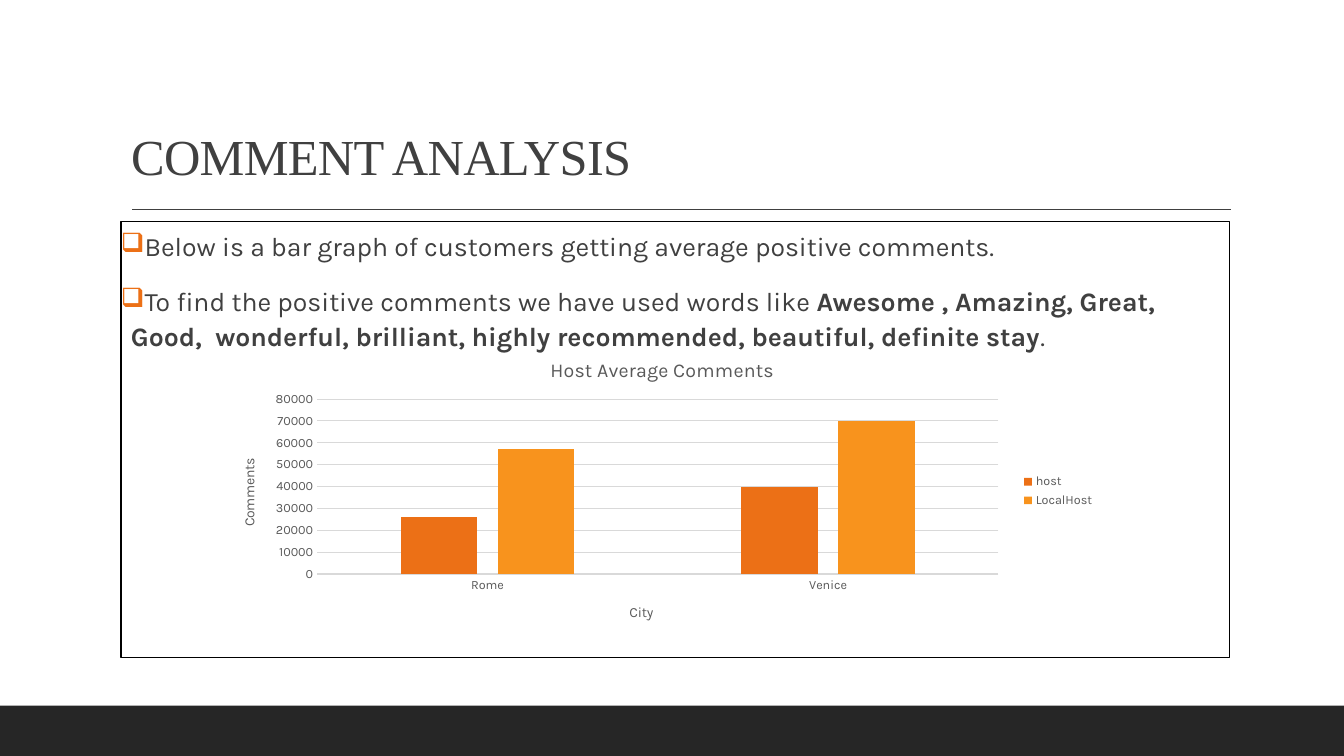
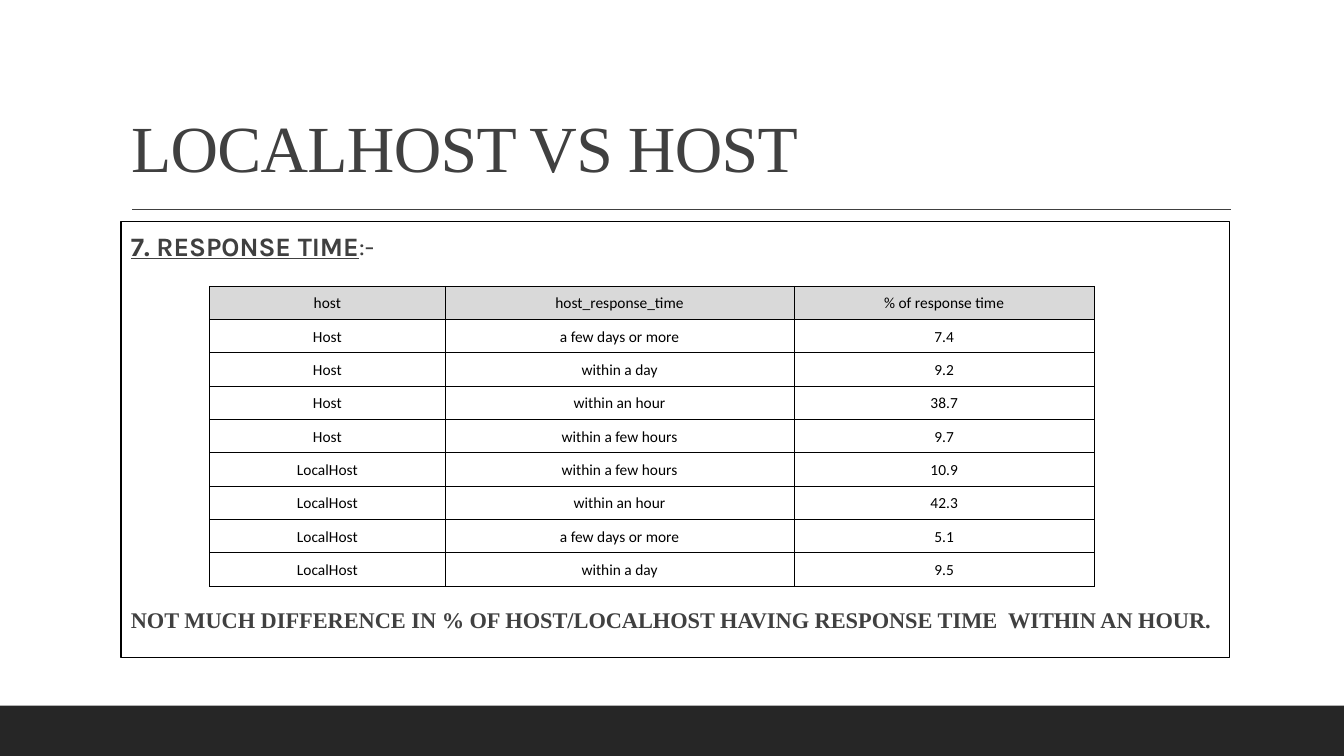
from dataclasses import dataclass

from lxml import etree
from pptx import Presentation
from pptx.chart.data import CategoryChartData
from pptx.dml.color import RGBColor
from pptx.enum.chart import XL_CHART_TYPE, XL_LEGEND_POSITION, XL_TICK_MARK
from pptx.enum.shapes import MSO_CONNECTOR, MSO_SHAPE
from pptx.enum.text import MSO_ANCHOR, MSO_AUTO_SIZE, PP_ALIGN
from pptx.oxml.ns import qn
from pptx.util import Cm, Pt

COLUMNS = XL_CHART_TYPE.COLUMN_CLUSTERED
LEGEND_RIGHT = XL_LEGEND_POSITION.RIGHT
NO_TICKS = XL_TICK_MARK.NONE
STRAIGHT = MSO_CONNECTOR.STRAIGHT
RECTANGLE = MSO_SHAPE.RECTANGLE
TOP, MIDDLE, BOTTOM = MSO_ANCHOR.TOP, MSO_ANCHOR.MIDDLE, MSO_ANCHOR.BOTTOM
NO_FIT = MSO_AUTO_SIZE.NONE
LEFT, CENTER = PP_ALIGN.LEFT, PP_ALIGN.CENTER
TITLE_ONLY = 5


@dataclass(frozen=True)
class Theme:
    text: str = "404040"
    black: str = "000000"
    band: str = "262626"
    chart_text: str = "595959"
    grid: str = "D9D9D9"
    accent: str = "EC7016"
    accent_light: str = "F8931D"
    serif: str = "Times New Roman"
    sans: str = "Karla"
    table_font: str = "Calibri"
    title_size: float = 36
    title_large: float = 47
    body_size: float = 19
    note_size: float = 16
    table_size: float = 11
    chart_title: float = 14
    axis_title: float = 10
    chart_label: float = 9


THEME = Theme()
WIDTH, HEIGHT = Cm(33.87), Cm(19.05)
BAND_HEIGHT = Cm(1.27)
BOX_LEFT, BOX_WIDTH = Cm(3.05), Cm(27.94)

RESPONSE_TIMES = [
    ("host", "host_response_time", "% of response time"),
    ("Host", "a few days or more", "7.4"),
    ("Host", "within a day", "9.2"),
    ("Host", "within an hour", "38.7"),
    ("Host", "within a few hours", "9.7"),
    ("LocalHost", "within a few hours", "10.9"),
    ("LocalHost", "within an hour", "42.3"),
    ("LocalHost", "a few days or more", "5.1"),
    ("LocalHost", "within a day", "9.5"),
]


# Formatting helpers
def set_values(target, values):
    for name, value in values.items():
        setattr(target, name, value)


def set_font(font, name, size, color, **values):
    set_values(font, {"name": name, "size": Pt(size), **values})
    font.color.rgb = RGBColor.from_string(color)


def set_fill(fill, color):
    if color is None:
        fill.background()
    else:
        fill.solid()
        fill.fore_color.rgb = RGBColor.from_string(color)


def set_line(line, color, width):
    if color is None:
        line.fill.background()
    else:
        line.color.rgb = RGBColor.from_string(color)
        line.width = Pt(width)


def add_xml(parent, tag, **values):
    return etree.SubElement(parent, qn(tag), values)


# Shared slide parts
def add_rectangle(slide, left, top, width, height, fill=None, line=None):
    box = slide.shapes.add_shape(RECTANGLE, left, top, width, height)
    box.shadow.inherit = False
    set_fill(box.fill, fill)
    set_line(box.line, line, 0.75)
    return box


def add_rule(slide, left, right, top):
    rule = slide.shapes.add_connector(STRAIGHT, left, top, right, top)
    set_line(rule.line, THEME.text, 1)
    add_xml(rule._element.spPr, "a:effectLst")


def add_title(slide, text, size):
    title = slide.shapes.title
    set_values(title, {"left": BOX_LEFT, "top": Cm(0.79),
                       "width": BOX_WIDTH, "height": Cm(4.04)})
    frame = title.text_frame
    set_values(frame, {"text": text, "vertical_anchor": BOTTOM,
                       "word_wrap": True, "auto_size": NO_FIT})
    para = frame.paragraphs[0]
    set_values(para, {"alignment": LEFT, "line_spacing": 0.9})
    span = para.runs[0]
    set_font(span.font, THEME.serif, size, THEME.text)
    span._r.get_or_add_rPr().set("spc", "-50")


def add_page(deck, title, title_size):
    slide = deck.slides.add_slide(deck.slide_layouts[TITLE_ONLY])
    add_rectangle(slide, 0, HEIGHT - BAND_HEIGHT, WIDTH, BAND_HEIGHT, fill=THEME.band)
    add_rule(slide, Cm(3.33), Cm(31.01), Cm(5.28))
    add_title(slide, title, title_size)
    return slide


# Framed text
def add_body(slide):
    box = add_rectangle(slide, BOX_LEFT, Cm(5.59), BOX_WIDTH, Cm(10.97), line=THEME.black)
    frame = box.text_frame
    set_values(frame, {"margin_left": 0, "margin_right": 0, "margin_top": Cm(0.13),
                       "margin_bottom": Cm(0.13), "word_wrap": True,
                       "vertical_anchor": TOP})
    return frame


def add_para(frame, spans, bullet=None, before=12, font=THEME.sans, size=THEME.body_size):
    """Add a paragraph of (text, font values) spans."""
    para = frame.paragraphs[0]
    if para.runs:
        para = frame.add_paragraph()
    set_values(para, {"alignment": LEFT, "line_spacing": 1.1,
                      "space_before": Pt(before), "space_after": Pt(2)})
    properties = para._p.get_or_add_pPr()
    properties.set("marL", str(Cm(0.25)))
    if bullet:
        properties.set("indent", str(-Cm(0.25)))
        add_xml(add_xml(properties, "a:buClr"), "a:srgbClr", val=THEME.accent)
        add_xml(properties, "a:buChar", char=bullet)
    for text, values in spans:
        span = para.add_run()
        span.text = text
        set_font(span.font, font, size, THEME.text, **values)


# Chart
def set_chart_title(owner, text, size):
    frame = (owner.chart_title if hasattr(owner, "chart_title") else owner.axis_title).text_frame
    frame.text = text
    set_font(frame.paragraphs[0].runs[0].font, THEME.sans, size, THEME.chart_text, bold=False)


def set_axis(axis, title, line):
    set_values(axis, {"major_tick_mark": NO_TICKS, "minor_tick_mark": NO_TICKS})
    set_font(axis.tick_labels.font, THEME.sans, THEME.chart_label, THEME.chart_text)
    set_line(axis.format.line, line, 0.75)
    set_chart_title(axis, title, THEME.axis_title)


def set_layout(element, **fractions):
    """Place a chart part by fractions of the chart's size."""
    layout = element.find(qn("c:layout"))
    if layout is None:
        layout = etree.Element(qn("c:layout"))
        text = element.find(qn("c:tx"))
        element.insert(0 if text is None else 1, layout)
    manual = add_xml(layout, "c:manualLayout")
    if "w" in fractions:
        add_xml(manual, "c:layoutTarget", val="inner")
    for side in "xy":
        add_xml(manual, f"c:{side}Mode", val="edge")
    for side, fraction in fractions.items():
        add_xml(manual, f"c:{side}", val=str(fraction))


def add_comment_chart(slide):
    data = CategoryChartData()
    data.categories = ["Rome", "Venice"]
    data.add_series("host", (26000, 40000))
    data.add_series("LocalHost", (57000, 70000))
    chart = slide.shapes.add_chart(
        COLUMNS, Cm(5.54), Cm(8.64), Cm(22.3), Cm(7.47), data).chart
    set_font(chart.font, THEME.sans, THEME.axis_title, THEME.black)
    set_chart_title(chart, "Host Average Comments", THEME.chart_title)

    # Axes and grid
    set_axis(chart.category_axis, "City", THEME.grid)
    set_axis(chart.value_axis, "Comments", None)
    set_values(chart.value_axis, {"minimum_scale": 0, "maximum_scale": 80000,
                                  "major_unit": 10000})
    set_line(chart.value_axis.major_gridlines.format.line, THEME.grid, 0.75)

    # Columns and legend
    plot = chart.plots[0]
    set_values(plot, {"gap_width": 219, "overlap": -27, "vary_by_categories": False})
    for series, color in zip(plot.series, (THEME.accent, THEME.accent_light)):
        set_fill(series.format.fill, color)
    chart.has_legend = True
    set_values(chart.legend, {"position": LEGEND_RIGHT, "include_in_layout": False})
    set_font(chart.legend.font, THEME.sans, THEME.chart_label, THEME.chart_text)

    # Placement inside the chart
    set_layout(chart._chartSpace.chart.plotArea, x=0.11, y=0.19, w=0.77, h=0.59)
    set_layout(chart.category_axis.axis_title._element, x=0.46, y=0.87)
    set_layout(chart.value_axis.axis_title._element, x=0.02, y=0.38)


# Table
def set_borders(cell):
    properties = cell._tc.get_or_add_tcPr()
    for side in "LRTB":
        border = add_xml(properties, f"a:ln{side}", w=str(Pt(0.5)))
        add_xml(add_xml(border, "a:solidFill"), "a:srgbClr", val=THEME.black)


def set_cell(cell, text, fill):
    set_values(cell, {"text": text, "vertical_anchor": MIDDLE, "margin_left": Cm(0.03),
                      "margin_right": Cm(0.03), "margin_top": Cm(0.03), "margin_bottom": 0})
    para = cell.text_frame.paragraphs[0]
    para.alignment = CENTER
    set_font(para.runs[0].font, THEME.table_font, THEME.table_size, THEME.black, bold=False)
    set_borders(cell)
    set_fill(cell.fill, fill)


def add_table(slide, rows, left, top, widths, row_height):
    table = slide.shapes.add_table(len(rows), len(widths), left, top,
                                   sum(widths), row_height * len(rows)).table
    set_values(table, {"first_row": False, "horz_banding": False})
    for column, width in zip(table.columns, widths):
        column.width = width
    for row_index, texts in enumerate(rows):
        table.rows[row_index].height = row_height
        for column_index, text in enumerate(texts):
            set_cell(table.cell(row_index, column_index), text,
                     THEME.grid if row_index == 0 else None)


# Slides
def add_comment_page(deck):
    slide = add_page(deck, "COMMENT ANALYSIS", THEME.title_size)
    frame = add_body(slide)
    add_para(frame, [("Below is a bar graph of customers getting average positive comments.", {})],
             bullet="❑")
    add_para(frame, [
        ("To find the positive comments we have used words like ", {}),
        ("Awesome , Amazing, Great, Good,  wonderful, brilliant, highly recommended, "
         "beautiful, definite stay", {"bold": True}),
        (".", {}),
    ], bullet="❑")
    add_comment_chart(slide)


def add_response_page(deck):
    slide = add_page(deck, "LOCALHOST VS HOST", THEME.title_large)
    frame = add_body(slide)
    add_para(frame, [("7. RESPONSE TIME", {"bold": True, "underline": True}), (":-", {})])
    add_para(frame, [("NOT MUCH DIFFERENCE IN % OF HOST/LOCALHOST HAVING RESPONSE TIME"
                      "  WITHIN AN HOUR.", {"bold": True})],
             before=242, font=THEME.serif, size=THEME.note_size)
    add_table(slide, RESPONSE_TIMES, Cm(5.28), Cm(7.21),
              [Cm(5.94), Cm(8.79), Cm(7.57)], Cm(0.84))


def main():
    deck = Presentation()
    set_values(deck, {"slide_width": WIDTH, "slide_height": HEIGHT})
    add_comment_page(deck)
    add_response_page(deck)
    deck.save("out.pptx")


if __name__ == "__main__":
    main()
